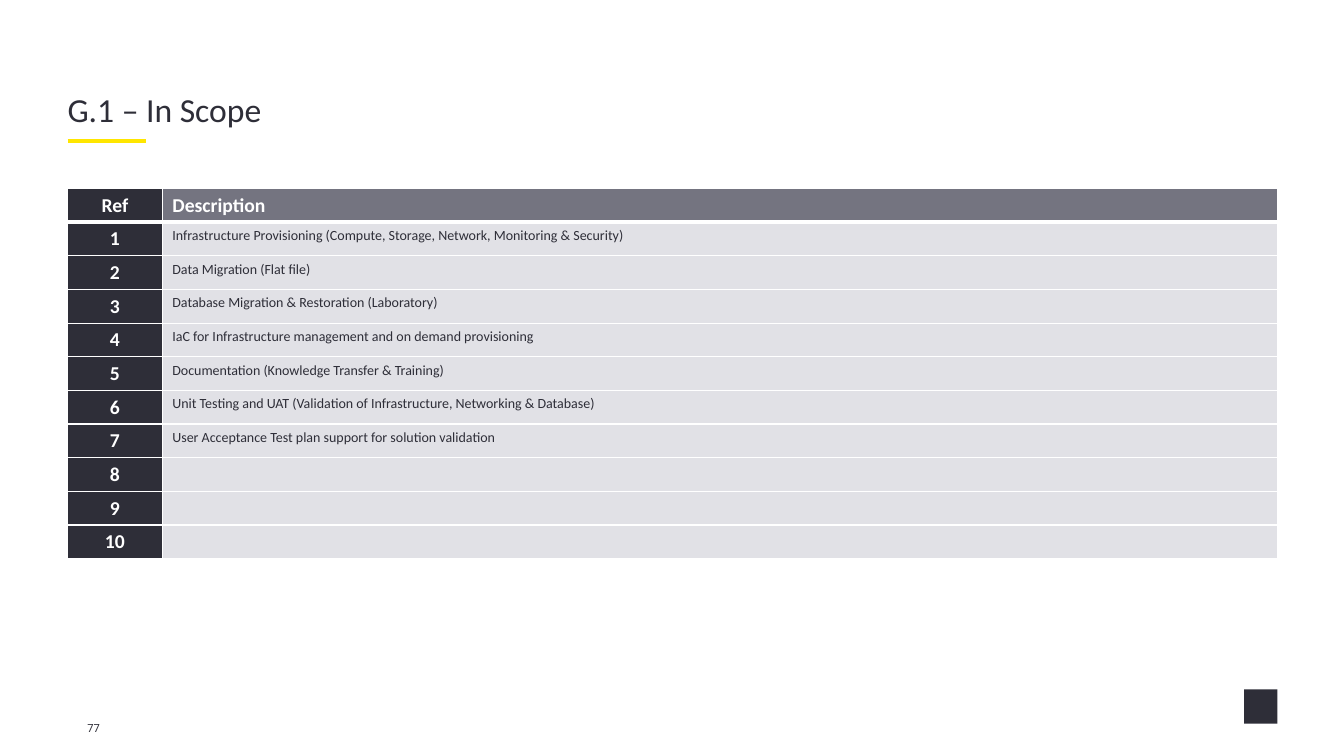
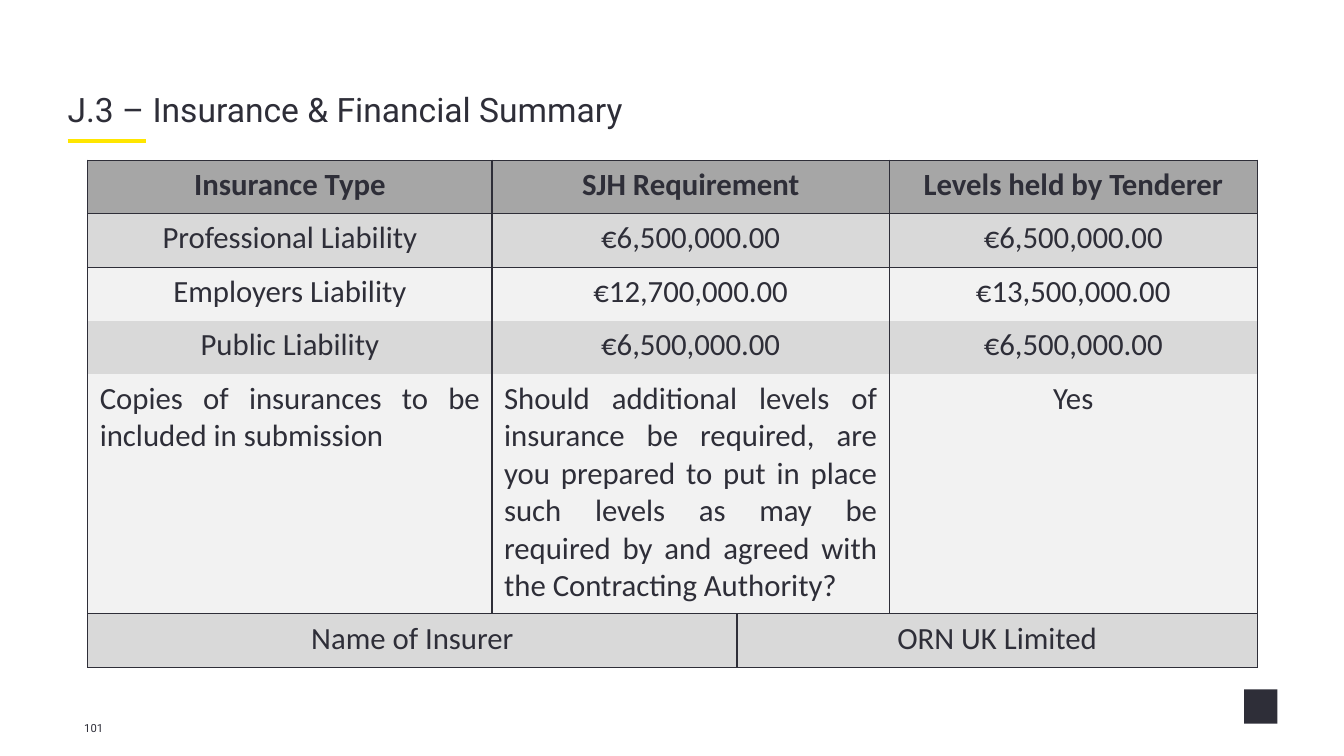
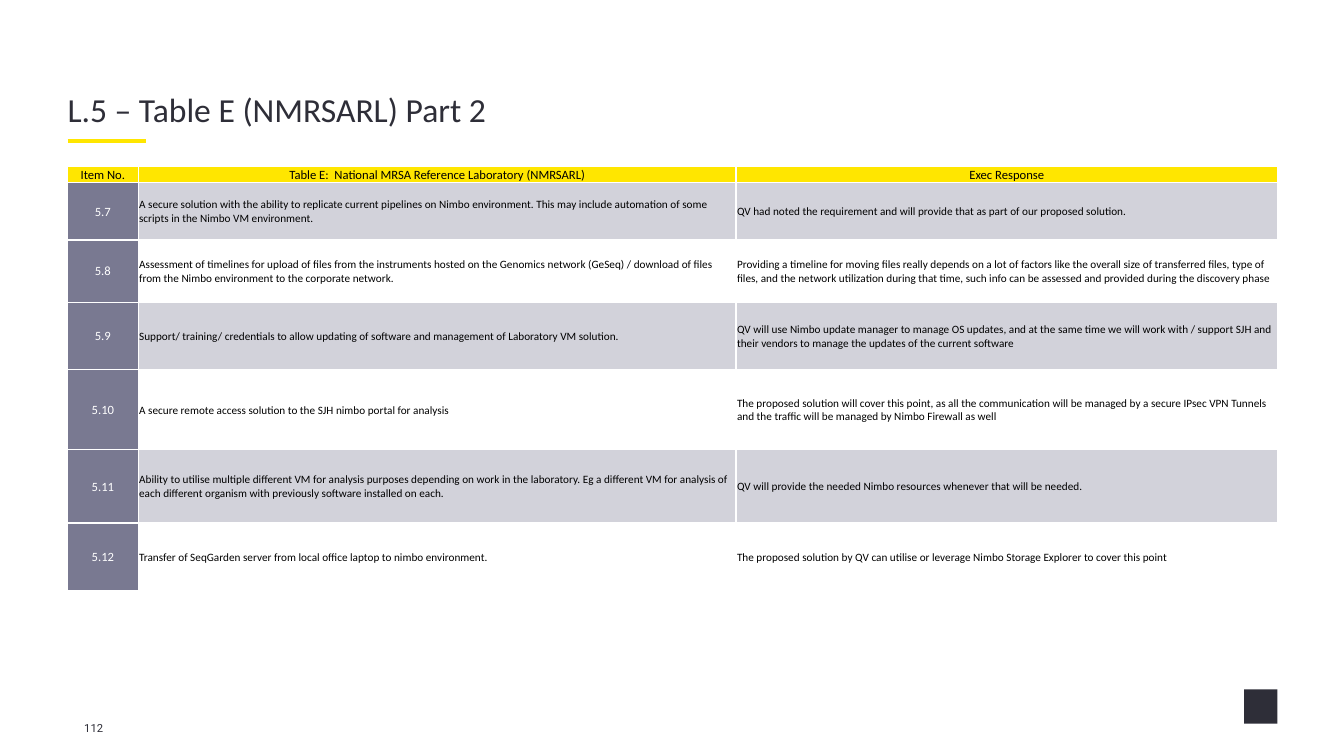
import lxml.etree
import pptx
import pptx.dml.color
import pptx.enum.shapes
import pptx.enum.text
import pptx.oxml.ns
import pptx.util

Inches = pptx.util.Inches
Pt = pptx.util.Pt
qn = pptx.oxml.ns.qn
ALIGN = pptx.enum.text.PP_ALIGN
ANCHOR = pptx.enum.text.MSO_ANCHOR

HUES = {
    "ink": "2E2E38", "gold": "FFE600", "white": "FFFFFF", "black": "000000",
    "slate": "747480", "mist": "E1E1E6", "steel": "797991", "haze": "D2D2DA",
    "head": "A6A6A6", "dark": "D9D9D9", "pale": "F2F2F2",
}
PLAIN = "{2D5ABB26-0587-4C30-8999-92F81FD0307C}"  # table style without grid
PAGE = {"name": "Roboto", "size": Pt(8)}
SIDES = ("left", "top", "right", "bottom")

SCOPE = [
    "Infrastructure Provisioning (Compute, Storage, Network, Monitoring & Security)",
    "Data Migration (Flat file)",
    "Database Migration & Restoration (Laboratory)",
    "IaC for Infrastructure management and on demand provisioning",
    "Documentation (Knowledge Transfer & Training)",
    "Unit Testing and UAT (Validation of Infrastructure, Networking & Database)",
    "User Acceptance Test plan support for solution validation",
    "", "", "",
]
COVER = [
    ["Insurance Type", "SJH Requirement", "", "Levels held by Tenderer"],
    ["Professional Liability", "€6,500,000.00", "", "€6,500,000.00"],
    ["Employers Liability", "€12,700,000.00", "", "€13,500,000.00"],
    ["Public Liability", "€6,500,000.00", "", "€6,500,000.00"],
    ["Copies of insurances to be included in submission",
     "Should additional levels of insurance be required, are you prepared to put in place "
     "such levels as may be required by and agreed with the Contracting Authority?",
     "", "Yes"],
    ["Name of Insurer", "", "ORN UK Limited", ""],
]
ITEMS = [
    ["Item No.", "Table E:  National MRSA Reference Laboratory (NMRSARL)", "Exec Response"],
    ["5.7",
     "A secure solution with the ability to replicate current pipelines on Nimbo environment. "
     "This may include automation of some scripts in the Nimbo VM environment.",
     "QV had noted the requirement and will provide that as part of our proposed solution."],
    ["5.8",
     "Assessment of timelines for upload of files from the instruments hosted on the Genomics "
     "network (GeSeq) / download of files from the Nimbo environment to the corporate network.",
     "Providing a timeline for moving files really depends on a lot of factors like the overall "
     "size of transferred files, type of files, and the network utilization during that time, "
     "such info can be assessed and provided during the discovery phase"],
    ["5.9",
     "Support/ training/ credentials to allow updating of software and management of "
     "Laboratory VM solution.",
     "QV will use Nimbo update manager to manage OS updates, and at the same time we will work "
     "with / support SJH and their vendors to manage the updates of the current software"],
    ["5.10",
     "A secure remote access solution to the SJH nimbo portal for analysis",
     "The proposed solution will cover this point, as all the communication will be managed by "
     "a secure IPsec VPN Tunnels and the traffic will be managed by Nimbo Firewall as well"],
    ["5.11",
     "Ability to utilise multiple different VM for analysis purposes depending on work in the "
     "laboratory. Eg a different VM for analysis of each different organism with previously "
     "software installed on each.",
     "QV will provide the needed Nimbo resources whenever that will be needed."],
    ["5.12",
     "Transfer of SeqGarden server from local office laptop to nimbo environment.",
     "The proposed solution by QV can utilise or leverage Nimbo Storage Explorer to cover "
     "this point"],
]


def hue(name):
    return pptx.dml.color.RGBColor.from_string(HUES[name])


def put(item, values):
    """Set each named attribute of item."""
    for name, value in values.items():
        setattr(item, name, value)


def paint(fill, name):
    fill.solid()
    fill.fore_color.rgb = hue(name)


def write(para, text, font, color, **form):
    put(para, form)
    run = para.add_run()
    run.text = text
    put(run.font, font)
    run.font.color.rgb = hue(color)


def label(slide, box, text, font, frame, **form):
    area = slide.shapes.add_textbox(*map(Inches, box)).text_frame
    put(area, frame)
    write(area.paragraphs[0], text, font, "ink", **form)


def start(deck, title, face, page):
    """Add a slide with the shared title, rule, mark and page number."""
    slide = deck.slides.add_slide(deck.slide_layouts[6])
    rule = slide.shapes.add_connector(
        pptx.enum.shapes.MSO_CONNECTOR.STRAIGHT,
        *map(Inches, (0.67, 1.4, 1.45, 1.4)))
    rule.line.width = Pt(3)
    rule.line.color.rgb = hue("gold")
    lxml.etree.SubElement(rule._element.spPr, qn("a:effectLst"))
    mark = slide.shapes.add_shape(
        pptx.enum.shapes.MSO_SHAPE.RECTANGLE,
        *map(Inches, (12.34, 6.84, 0.33, 0.34)))
    mark.shadow.inherit = False
    paint(mark.fill, "ink")
    mark.line.fill.background()
    sides = {"margin_left": 0, "margin_right": 0}
    label(slide, (0.83, 7.11, 0.2, 0.19), page, PAGE,
          {**sides, "word_wrap": False}, alignment=ALIGN.CENTER)
    label(slide, (0.67, 0.71, 12, 0.57), title, {"name": face, "size": Pt(24)},
          {**sides, "margin_top": 0, "margin_bottom": 0, "word_wrap": True,
           "vertical_anchor": ANCHOR.BOTTOM}, space_after=Pt(5))
    return slide


def edge(cell, color, widths):
    """Draw cell borders; widths maps L, R, T, B to points."""
    props = cell._tc.get_or_add_tcPr()
    for side in "LRTB":
        if side in widths:
            line = lxml.etree.SubElement(
                props, qn("a:ln" + side), w=str(Pt(widths[side])))
            solid = lxml.etree.SubElement(line, qn("a:solidFill"))
            lxml.etree.SubElement(solid, qn("a:srgbClr"), val=HUES[color])


def grid(slide, spot, cols, rows, texts, look, inset, rim):
    """Add a table; look(row, col) gives the format of one cell."""
    size = (sum(cols), sum(rows))
    frame = slide.shapes.add_table(len(rows), len(cols), *map(Inches, spot + size))
    for style in frame._element.iter(qn("a:tableStyleId")):
        style.text = PLAIN
    table = frame.table
    for col, width in zip(table.columns, cols):
        col.width = Inches(width)
    for row, height in zip(table.rows, rows):
        row.height = Inches(height)
    for r, line in enumerate(texts):
        for c, text in enumerate(line):
            cell, form = table.cell(r, c), look(r, c)
            for side, gap in zip(SIDES, inset):
                setattr(cell, "margin_" + side, Inches(gap))
            cell.vertical_anchor = form.get("anchor", ANCHOR.TOP)
            edge(cell, rim, form["edge"])
            if form["fill"]:
                paint(cell.fill, form["fill"])
            para = cell.text_frame.paragraphs[0]
            if text:
                font = {"name": "Calibri", "size": Pt(form["size"]),
                        "bold": form.get("bold", False)}
                write(para, text, font, form["color"], alignment=form["align"])
            else:
                lxml.etree.SubElement(
                    para._p, qn("a:endParaRPr"), sz=str(form["size"] * 100))
    return table


def scope(r, c):
    top = r == 0
    strong = top or c == 0
    return {
        "fill": "ink" if c == 0 else "slate" if top else "mist",
        "color": "white" if strong else "ink",
        "size": 14 if strong else 10,
        "bold": strong,
        "align": ALIGN.LEFT if c else ALIGN.CENTER,
        "edge": {"L": 1, "R": 1, "T": 3 if r == 1 else 1, "B": 3 if top else 1},
    }


def cover(r, c):
    rims = {"L": 1, "R": 1}
    if r in (0, 1, 5):
        rims["T"] = 1
    if r in (0, 4, 5):
        rims["B"] = 1
    return {
        "fill": "head" if r == 0 else "dark" if r % 2 else "pale",
        "color": "ink", "size": 22, "bold": r == 0, "edge": rims,
        "align": ALIGN.JUSTIFY if r == 4 and c < 3 else ALIGN.CENTER,
    }


def item(r, c):
    top = r == 0
    band = "haze" if r % 2 else None
    return {
        "fill": "gold" if top else band if c else "steel",
        "color": "black" if top or c else "white",
        "size": 9 if top or c == 0 else 8,
        "align": ALIGN.CENTER if top or c == 0 else ALIGN.LEFT,
        "anchor": ANCHOR.MIDDLE,
        "edge": dict.fromkeys("LRTB", 1),
    }


def main():
    deck = pptx.Presentation()
    put(deck, {"slide_width": Inches(13.33), "slide_height": Inches(7.5)})

    slide = start(deck, "G.1 – In Scope", "Calibri", "77")
    lines = [["Ref", "Description"]]
    lines += [[str(n), text] for n, text in enumerate(SCOPE, 1)]
    grid(slide, (0.67, 1.87), (0.94, 11.06), [0.33] * len(lines), lines, scope,
         (0.1, 0.05, 0.1, 0.05), "white")

    slide = start(deck, "J.3 – Insurance & Financial Summary", "Roboto", "101")
    table = grid(slide, (0.87, 1.59), (4.01, 2.43, 1.51, 3.65),
                 [0.53] * 4 + [2.38, 0.53], COVER, cover,
                 (0.12, 0.06, 0.12, 0.06), "ink")
    for r, c in [(r, 1) for r in range(5)] + [(5, 0), (5, 2)]:
        table.cell(r, c).merge(table.cell(r, c + 1))

    slide = start(deck, "L.5 – Table E (NMRSARL) Part 2", "Calibri", "112")
    grid(slide, (0.67, 1.65), (0.7, 5.93, 5.37),
         (0.12, 0.57, 0.62, 0.67, 0.79, 0.73, 0.67), ITEMS, item,
         (0.01, 0.01, 0.01, 0), "white")

    deck.save("out.pptx")


if __name__ == "__main__":
    main()
